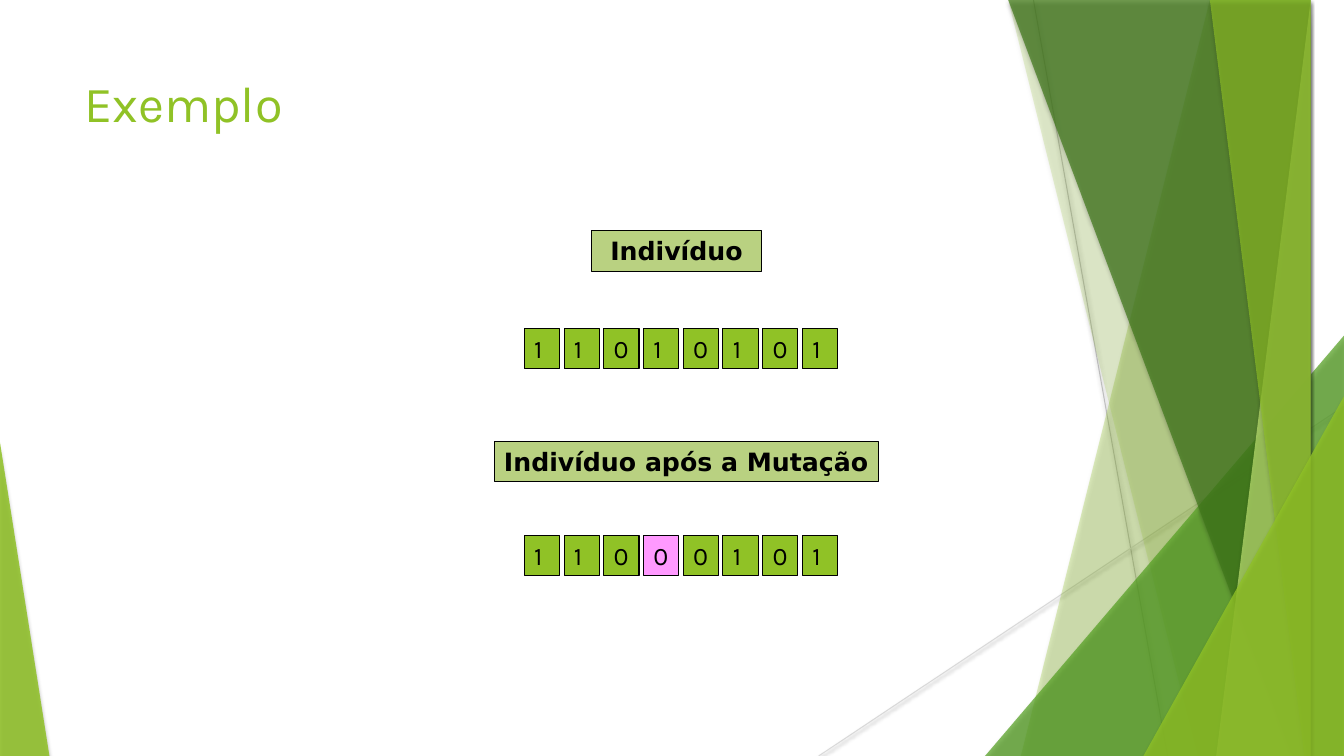
import pptx
import pptx.util
import pptx.dml.color
import pptx.enum.shapes
import pptx.enum.text
import pptx.oxml
import pptx.oxml.ns

Inches = pptx.util.Inches
Pt = pptx.util.Pt
RGBColor = pptx.dml.color.RGBColor
SHAPE = pptx.enum.shapes.MSO_SHAPE
ALIGN = pptx.enum.text.PP_ALIGN

LIME = RGBColor(0x90, 0xC2, 0x26)
GREEN = RGBColor(0x54, 0xA0, 0x21)
FOREST = RGBColor(0x3F, 0x78, 0x19)
PALE_LIME = RGBColor(0xC0, 0xE4, 0x74)
LABEL_GREEN = RGBColor(0xB9, 0xD1, 0x81)
PINK = RGBColor(0xFF, 0x99, 0xFF)
GRAY = RGBColor(0xBF, 0xBF, 0xBF)
LIGHT_GRAY = RGBColor(0xD9, 0xD9, 0xD9)
BLACK = RGBColor(0, 0, 0)

WIDTH, HEIGHT = 13.33, 7.5
TITLE = "Exemplo"
LABELS = [
    ("Indivíduo", 5.87, 2.29, 1.68, ALIGN.CENTER),
    ("Indivíduo após a Mutação", 4.9, 4.38, 3.81, ALIGN.LEFT),
]
CHROMOSOMES = [("11010101", 3.26, None), ("11000101", 5.31, 3)]
GENE_LEFT, GENE_STEP, GENE_WIDTH, BOX_HEIGHT = 5.2, 0.394, 0.35, 0.4

RAYS = [
    ((10.25, 0), (11.58, HEIGHT), GRAY),
    ((WIDTH, 4.03), (8.12, HEIGHT), LIGHT_GRAY),
]
FACETS = [
    ("band", (12.28, 10.04), LIME, 30),
    ("band", (10.5, 11.82), LIME, 20),
    ("triangle", (9.77, 3.33, 3.56, 1), GREEN, 72),
    ("band", (10.21, 12.91), FOREST, 70),
    ("band", (13.03, 11.92), PALE_LIME, 70),
    ("band", (11.96, 13.18), LIME, 65),
    ("triangle", (11.34, 3.93, 1.99, 1), LIME, 80),
    ("triangle", (0, 4.39, 0.49, 0), LIME, 85),
]

deck = pptx.Presentation()
deck.slide_width, deck.slide_height = Inches(WIDTH), Inches(HEIGHT)
slide = deck.slides.add_slide(deck.slide_layouts[6])


def add_shadow(properties, opacity, blur, distance):
    for old in properties.findall(pptx.oxml.ns.qn("a:effectLst")):
        properties.remove(old)
    properties.append(pptx.oxml.parse_xml(
        f'<a:effectLst {pptx.oxml.ns.nsdecls("a")}>'
        f'<a:outerShdw blurRad="{Pt(blur)}" dist="{Pt(distance)}" dir="5400000" rotWithShape="0">'
        f'<a:srgbClr val="000000"><a:alpha val="{opacity * 1000}"/></a:srgbClr>'
        '</a:outerShdw></a:effectLst>'))


def add_ray(start, end, color):
    ray = slide.shapes.add_connector(
        pptx.enum.shapes.MSO_CONNECTOR.STRAIGHT, *map(Inches, start + end))
    ray.line.color.rgb = color
    ray.line.width = Pt(0.75)
    add_shadow(ray._element.spPr, 38, 3.1, 1.6)


def add_facet(kind, geometry, color, opacity):
    if kind == "band":
        top_x, bottom_x = geometry
        outline = slide.shapes.build_freeform(top_x, -0.01, scale=Inches(1))
        outline.add_line_segments([(WIDTH, -0.01), (WIDTH, HEIGHT), (bottom_x, HEIGHT)])
        facet = outline.convert_to_shape()
    else:
        left, top, width, apex = geometry
        facet = slide.shapes.add_shape(
            SHAPE.ISOSCELES_TRIANGLE, *map(Inches, (left, top, width, HEIGHT - top)))
        facet.adjustments[0] = apex
    facet.fill.solid()
    facet.fill.fore_color.rgb = color
    tint = facet._element.spPr.find(".//" + pptx.oxml.ns.qn("a:srgbClr"))
    tint.append(pptx.oxml.parse_xml(
        f'<a:alpha {pptx.oxml.ns.nsdecls("a")} val="{opacity * 1000}"/>'))
    facet.line.fill.background()
    add_shadow(facet._element.spPr, 35, 3, 2)


def add_text(text, box, fill=None, font="Karla", size=18, color=BLACK,
             bold=False, align=ALIGN.LEFT):
    place = list(map(Inches, box))
    if fill is None:
        holder = slide.shapes.add_textbox(*place)
    else:
        holder = slide.shapes.add_shape(SHAPE.RECTANGLE, *place)
        holder.shadow.inherit = False
        holder.fill.solid()
        holder.fill.fore_color.rgb = fill
        holder.line.color.rgb = BLACK
        holder.line.width = Pt(0.75)
    frame = holder.text_frame
    frame.word_wrap = fill is None
    frame.vertical_anchor = pptx.enum.text.MSO_ANCHOR.TOP
    paragraph = frame.paragraphs[0]
    paragraph.alignment = align
    run = paragraph.add_run()
    run.text = text
    run.font.name = font
    run.font.size = Pt(size)
    run.font.bold = bold
    run.font.color.rgb = color


for ray in RAYS:
    add_ray(*ray)
for facet in FACETS:
    add_facet(*facet)

add_text(TITLE, (0.74, 0.67, 9.4, 1.44), size=36, color=LIME)
for label, left, top, width, align in LABELS:
    add_text(label, (left, top, width, BOX_HEIGHT), fill=LABEL_GREEN,
             font="DejaVu Sans", bold=True, align=align)
for genes, top, mutated in CHROMOSOMES:
    for position, gene in enumerate(genes):
        add_text(gene, (GENE_LEFT + position * GENE_STEP, top, GENE_WIDTH, BOX_HEIGHT),
                 fill=PINK if position == mutated else LIME)

deck.save("out.pptx")
